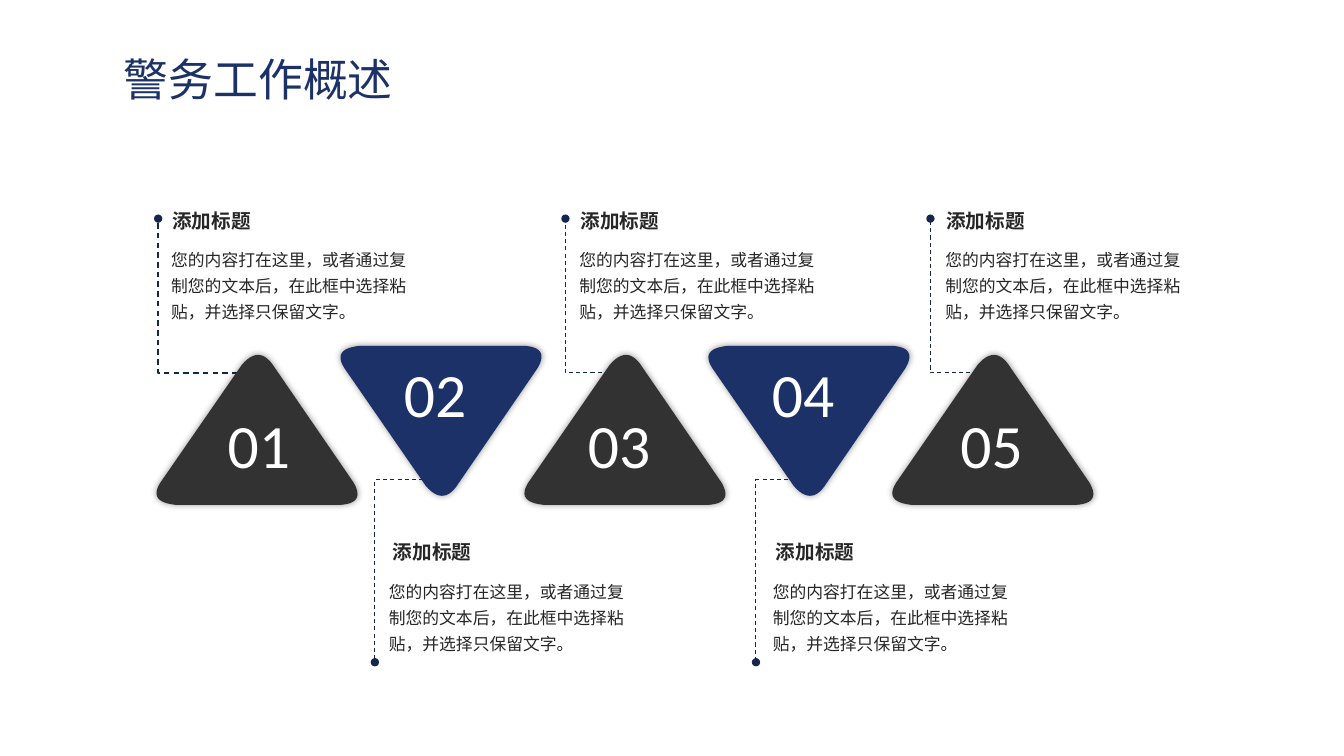
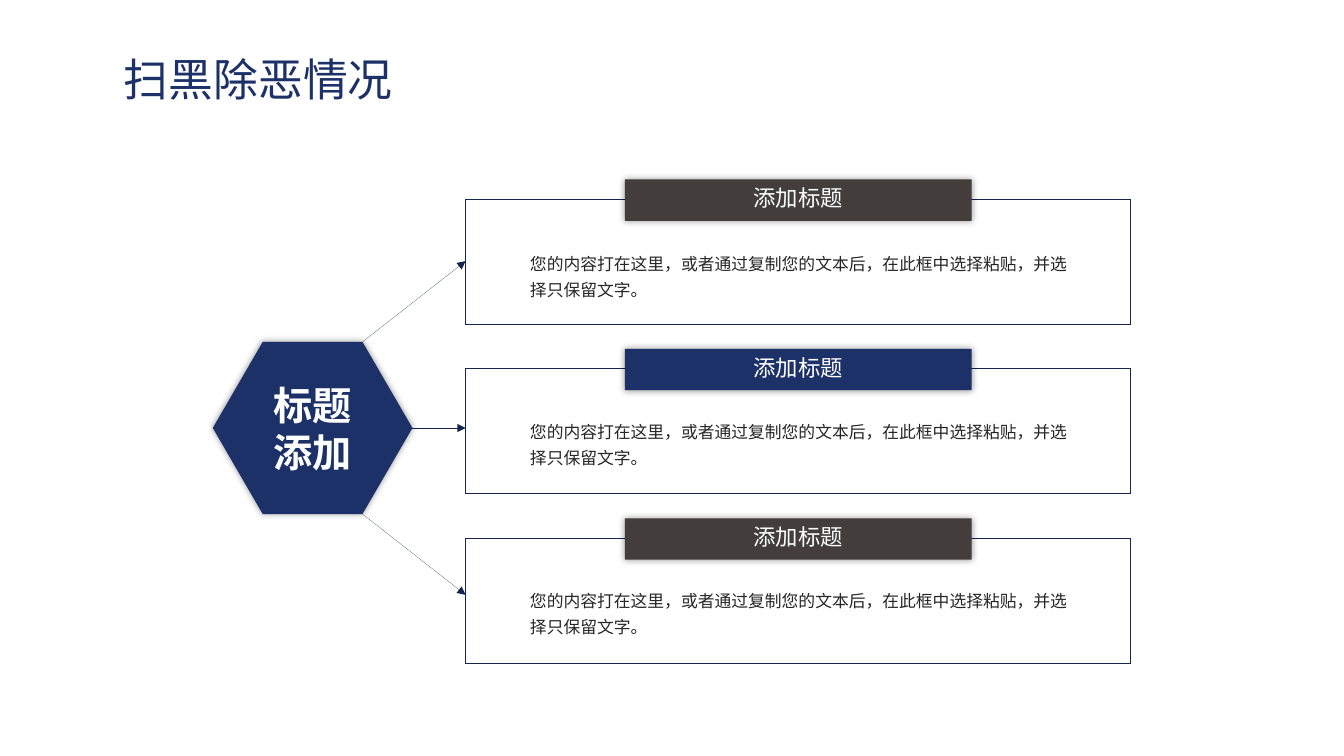
from dataclasses import dataclass

from lxml import etree
from pptx import Presentation
from pptx.dml.color import RGBColor
from pptx.enum import shapes, text
from pptx.oxml import ns
from pptx.util import Pt


@dataclass(frozen=True)
class Theme:
    navy: str = "1B3168"
    line: str = "14254E"
    charcoal: str = "323232"
    brown: str = "433D3C"
    ink: str = "262626"
    white: str = "FFFFFF"
    black: str = "000000"
    body_font: str = "Calibri"
    alternate_font: str = "Arial"
    title_font: str = "Noto Sans CJK SC"
    title_size: int = 32
    number_size: int = 44
    hub_size: int = 28
    tab_size: int = 16
    heading_size: int = 14
    body_size: int = 12


THEME = Theme()
HEADING = "添加标题"
BODY = "您的内容打在这里，或者通过复制您的文本后，在此框中选择粘贴，并选择只保留文字。"
TRIANGLE_WIDTH, TRIANGLE_HEIGHT = 150, 109.4
TRIANGLE_CORNERS = [
    ((144, 93.6), (149.8, 103.7), (146.2, 108.7), (133.9, 109.4)),
    ((17.3, 109.4), (3.6, 108), (0, 103), (5.8, 93.6)),
    ((64, 9.4), (72, 0), (79.2, 0), (85.7, 8.6)),
]


def add_child(parent, tag, **attributes):
    return etree.SubElement(parent, ns.qn(tag), attributes)


def write(shape, content, size, color, font=THEME.body_font, east_font=THEME.body_font,
          bold=False, align=text.PP_ALIGN.LEFT, anchor=text.MSO_ANCHOR.TOP,
          spacing=None, wrap=True, grow=False, insets=(7.2, 3.6)):
    frame = shape.text_frame
    frame.word_wrap = wrap
    frame.vertical_anchor = anchor
    frame.margin_left = frame.margin_right = Pt(insets[0])
    frame.margin_top = frame.margin_bottom = Pt(insets[1])
    if grow:
        frame.auto_size = text.MSO_AUTO_SIZE.SHAPE_TO_FIT_TEXT
    for index, line in enumerate(content.split("\n")):
        paragraph = frame.paragraphs[0] if index == 0 else frame.add_paragraph()
        paragraph.alignment = align
        if spacing:
            paragraph.line_spacing = spacing
        run = paragraph.add_run()
        run.text = line
        run.font.size = Pt(size)
        run.font.bold = bold
        run.font.color.rgb = RGBColor.from_string(color)
        run.font.name = font
        add_child(run.font._element, "a:ea", typeface=east_font)


def add_text(slide, box, content, **style):
    shape = slide.shapes.add_textbox(*map(Pt, box))
    write(shape, content, **style)
    return shape


def add_body(slide, box, font=THEME.body_font):
    add_text(slide, box, BODY, size=THEME.body_size, color=THEME.ink, font=font,
             spacing=1.3, grow=True)


def fill_shape(shape, color, shadow=False):
    shape.fill.solid()
    shape.fill.fore_color.rgb = RGBColor.from_string(color)
    shape.line.fill.background()
    shape.shadow.inherit = False
    if shadow:
        effects = shape._element.spPr.find(ns.qn("a:effectLst"))
        outer = add_child(effects, "a:outerShdw", blurRad=str(Pt(5)), dist="0", dir="0",
                          algn="ctr", rotWithShape="0")
        tint = add_child(outer, "a:srgbClr", val=THEME.black)
        add_child(tint, "a:alpha", val="40000")


def draw_line(shape, weight, dash=None, head=None, tail=None):
    shape.line.color.rgb = RGBColor.from_string(THEME.line)
    if dash:
        shape.line.dash_style = dash
    outline = shape._element.spPr.find(ns.qn("a:ln"))
    outline.set("w", str(Pt(weight)))
    for tag, kind in (("a:headEnd", head), ("a:tailEnd", tail)):
        if kind:
            add_child(outline, tag, type=kind)


def add_outline(slide, points, close):
    points = [(Pt(x), Pt(y)) for x, y in points]
    builder = slide.shapes.build_freeform(*points[0])
    builder.add_line_segments(points[1:], close=close)
    return builder.convert_to_shape()


def curve(start, first, second, end, count=12):
    for step in range(count + 1):
        t = step / count
        weights = ((1 - t) ** 3, 3 * t * (1 - t) ** 2, 3 * t * t * (1 - t), t ** 3)
        yield tuple(sum(w * point[axis] for w, point in zip(weights, (start, first, second, end)))
                    for axis in (0, 1))


def add_triangle(slide, left, top, inverted, color):
    points = [(left + x, top + (TRIANGLE_HEIGHT - y if inverted else y))
              for corner in TRIANGLE_CORNERS for x, y in curve(*corner)]
    fill_shape(add_outline(slide, points, True), color, shadow=True)


def add_guide(slide, left, knee, end, reach, weight):
    guide = add_outline(slide, [(left + reach, knee), (left, knee), (left, end)], False)
    guide.fill.background()
    guide.shadow.inherit = False
    draw_line(guide, weight, dash=shapes_dash(), head="oval", tail="oval")


def shapes_dash():
    from pptx.enum.dml import MSO_LINE
    return MSO_LINE.DASH


def add_callout(slide, left, top, width, heading_indent):
    add_body(slide, (left, top + 25.2, width, 62.6))
    add_text(slide, (left + heading_indent, top, 72.7, 24.5), HEADING,
             size=THEME.heading_size, color=THEME.ink, bold=True, wrap=False, grow=True)


def add_step(slide, left, number, inverted, number_indent, guide, callout):
    if inverted:
        top, number_top, knee, end, callout_top = 247, 250.6, 342.7, 473, 382.3
    else:
        top, number_top, knee, end, callout_top = 251.3, 287.3, 266.4, 156.2, 145.4
    guide_left, reach, weight = guide
    callout_left, width, heading_indent = callout
    add_guide(slide, guide_left, knee, end, reach, weight)
    add_triangle(slide, left, top, inverted, THEME.navy if inverted else THEME.charcoal)
    add_text(slide, (left + number_indent, number_top, 59.8, 60.5), f"{number:02d}",
             size=THEME.number_size, color=THEME.white, wrap=False, grow=True)
    add_callout(slide, callout_left, callout_top, width, heading_indent)


def add_card(slide, left, top, color, body_drop, body_font):
    card = slide.shapes.add_shape(shapes.MSO_SHAPE.RECTANGLE,
                                  *map(Pt, (left, top, 475.2, 89.3)))
    fill_shape(card, THEME.white)
    draw_line(card, 0)
    tab = slide.shapes.add_shape(shapes.MSO_SHAPE.RECTANGLE,
                                 *map(Pt, (left + 113.8, top - 14.4, 247.7, 29.5)))
    fill_shape(tab, color, shadow=True)
    write(tab, HEADING, size=THEME.tab_size, color=THEME.white, align=text.PP_ALIGN.CENTER)
    add_body(slide, (left + 38.9, top + body_drop, 398.2, 43.2), body_font)


def add_hub(slide, left, top, width, height):
    hub = slide.shapes.add_shape(shapes.MSO_SHAPE.HEXAGON,
                                 *map(Pt, (left, top, width, height)))
    hub.adjustments[0] = 0.29
    fill_shape(hub, THEME.navy, shadow=True)
    write(hub, "标题\n添加", size=THEME.hub_size, color=THEME.white, bold=True,
          align=text.PP_ALIGN.CENTER, anchor=text.MSO_ANCHOR.MIDDLE, wrap=False, insets=(0, 0))


def add_arrow(slide, start, end):
    arrow = slide.shapes.add_connector(shapes.MSO_CONNECTOR.STRAIGHT, *map(Pt, start + end))
    draw_line(arrow, 0, tail="triangle")
    add_child(arrow._element.spPr, "a:effectLst")


def new_slide(presentation, title):
    slide = presentation.slides.add_slide(presentation.slide_layouts[6])
    add_text(slide, (83.5, 39.6, 311.8, 33.8), title, size=THEME.title_size, color=THEME.navy,
             font=THEME.title_font, east_font=THEME.title_font,
             anchor=text.MSO_ANCHOR.MIDDLE, insets=(5, 2.9))
    return slide


def build_overview(presentation):
    slide = new_slide(presentation, "警务工作概述")
    steps = [
        (46.8, (113, 66.2, 1), (115.2, 183, 0.7)),
        (41.4, (267.8, 47.5, 0.75), (270.7, 185, 2.9)),
        (41.4, (403.9, 38.9, 0.75), (406.8, 183, 0.7)),
        (41.4, (540, 36, 0.75), (545, 188, 2.2)),
        (44.7, (664.6, 41.4, 0.75), (668.2, 183, 0.7)),
    ]
    for index, step in enumerate(steps):
        add_step(slide, 108.7 + 131.4 * index, index + 1, index % 2 == 1, *step)


def build_campaign(presentation):
    slide = new_slide(presentation, "扫黑除恶情况")
    left, top, width, height = 152, 244.2, 142.6, 123
    card_left, middle = 332.6, top + height / 2
    add_hub(slide, left, top, width, height)
    for side in (-1, 0, 1):
        start_x = left + width - (35.6 if side else 0)
        add_arrow(slide, (start_x, middle + side * height / 2),
                  (card_left, middle + side * 119.2))
    cards = [
        (THEME.brown, 31, THEME.body_font),
        (THEME.navy, 29.5, THEME.alternate_font),
        (THEME.brown, 29.5, THEME.alternate_font),
    ]
    for index, card in enumerate(cards):
        add_card(slide, card_left, 142.6 + 121 * index, *card)


def main():
    presentation = Presentation()
    presentation.slide_width, presentation.slide_height = Pt(960), Pt(540)
    build_overview(presentation)
    build_campaign(presentation)
    presentation.save("out.pptx")


if __name__ == "__main__":
    main()
